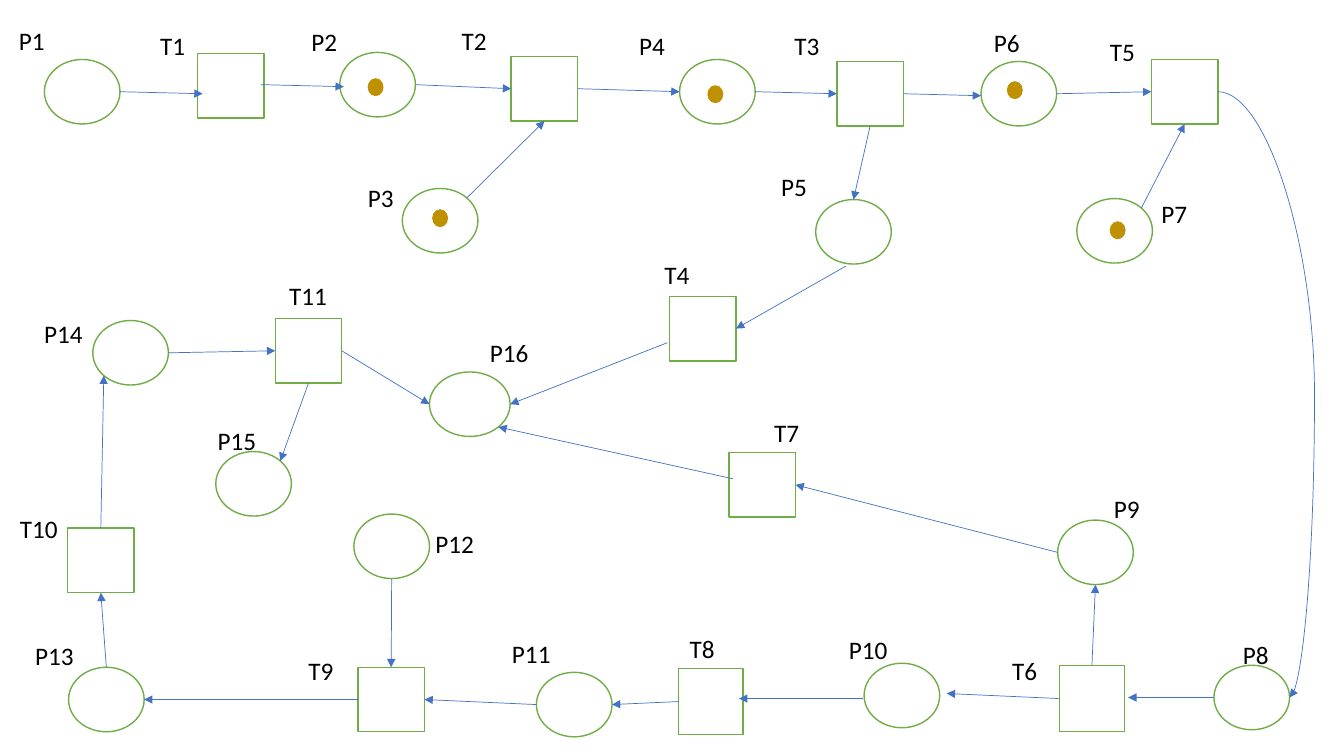
"""Draw a Petri net of sixteen places, eleven transitions and five tokens."""
from math import sqrt

from lxml.etree import SubElement
from pptx import Presentation
from pptx.dml.color import RGBColor as RGB
from pptx.enum.shapes import MSO_CONNECTOR as LINK, MSO_SHAPE as SHAPE
from pptx.oxml.ns import qn
from pptx.util import Cm, Pt

COLORS = {"white": "FFFFFF", "node": "70AD47", "arc": "4472C4", "token": "BF9000", "text": "000000"}
COLORS = {k: RGB.from_string(v) for k, v in COLORS.items()}
FONT = {"name": "Calibri", "size": Pt(18)}
INCH = 2.54
PLACE_W, TRANS_W, NODE_H = 0.75, 0.66, 0.64
LABEL_W, LABEL_H = 0.66, 0.4
TOKEN_W, TOKEN_H = 0.15, 0.17
DIAG = 1 / sqrt(2)

NODES = {
    "P1": (0.44, 0.59), "P2": (3.37, 0.52), "P3": (3.99, 1.87), "P4": (6.74, 0.59),
    "P5": (8.09, 1.98), "P6": (9.73, 0.61), "P7": (10.68, 1.97), "P8": (12.04, 6.6),
    "P9": (10.49, 5.16), "P10": (8.57, 6.58), "P11": (5.32, 6.67), "P12": (3.51, 5.1),
    "P13": (0.68, 6.62), "P14": (0.92, 3.18), "P15": (2.14, 4.48), "P16": (4.26, 3.69),
    "T1": (1.96, 0.53), "T2": (5.07, 0.56), "T3": (8.3, 0.61), "T4": (6.64, 2.94),
    "T5": (11.42, 0.59), "T6": (10.5, 6.61), "T7": (7.23, 4.49), "T8": (6.72, 6.64),
    "T9": (3.55, 6.62), "T10": (0.67, 5.24), "T11": (2.73, 3.16),
}
LABELS = {
    "P1": (0.09, 0.2), "P2": (2.99, 0.21), "P3": (3.55, 1.76), "P4": (6.24, 0.25),
    "P5": (7.65, 1.65), "P6": (9.76, 0.22), "P7": (11.42, 1.92), "P8": (12.23, 6.29),
    "P9": (10.95, 4.84), "P10": (8.32, 6.24), "P11": (4.98, 6.28), "P12": (4.22, 5.19),
    "P13": (0.25, 6.3), "P14": (0.34, 3.11), "P15": (2.06, 4.17), "P16": (4.76, 3.3),
    "T1": (1.49, 0.25), "T2": (4.48, 0.2), "T3": (7.78, 0.25), "T4": (6.49, 2.52),
    "T5": (10.91, 0.31), "T6": (9.94, 6.45), "T7": (7.58, 4.09), "T8": (6.74, 6.23),
    "T9": (2.96, 6.45), "T10": (0.1, 5.04), "T11": (2.77, 2.73),
}
NODE_WIDTHS = {"P16": 0.8}
LABEL_WIDTHS = {"P8": 0.56, "P9": 0.56, "T8": 0.49}
TURNED = ("T6", "T8")
TOKENS = [(3.65, 0.78), (9.99, 0.81), (7.02, 0.85), (4.29, 2.08), (11.01, 2.2)]

SITES = {"P": ["n", "nw", "w", "sw", "s", "se", "e", "ne"], "T": ["n", "w", "s", "e"]}
OFFSETS = {"n": (0, -1), "w": (-1, 0), "s": (0, 1), "e": (1, 0), "nw": (-DIAG, -DIAG),
           "sw": (-DIAG, DIAG), "se": (DIAG, DIAG), "ne": (DIAG, -DIAG)}
ARCS = [
    (("P1", "e"), (2.01, 0.93)), ((2.59, 0.84), (3.41, 0.86)),
    (("P2", "e"), ("T2", "w")), (("P3", "ne"), ("T2", "s")),
    (("T2", "e"), ("P4", "w")), (("P4", "e"), ("T3", "w")),
    (("T3", "e"), (9.73, 0.95)), (("T3", "s"), ("P5", "n")),
    (("P6", "e"), ("T5", "w")), (("P7", "ne"), ("T5", "s")),
    ((8.39, 2.64), ("T4", "e")), ((6.62, 3.4), ("P16", "e")),
    (("P8", "w"), (11.19, 6.92)), ((10.83, 6.6), ("P9", "s")),
    (("P9", "w"), ("T7", "e")), ((7.27, 4.75), ("P16", "se")),
    ((10.5, 6.93), (9.39, 6.88)), ((8.56, 6.93), (7.33, 6.93)),
    ((6.73, 6.96), ("P11", "e")), (("P11", "w"), ("T9", "e")),
    (("P12", "s"), ("T9", "n")), (("P13", "n"), ("T10", "s")),
    (("T10", "n"), ("P14", "sw")), (("P14", "e"), ("T11", "w")),
    (("T11", "s"), ("P15", "ne")), (("T11", "e"), ("P16", "w")),
    (("T5", "e"), ("P8", "e")), (("T9", "w"), ("P13", "e")),
]
CURVES = {("T5", "P8"): 134900, ("T9", "P13"): 50000}

prs = Presentation()
prs.slide_width, prs.slide_height = Cm(13.33 * INCH), Cm(7.5 * INCH)
s = prs.slides.add_slide(prs.slide_layouts[6])


def add_shape(kind, box, fill, line, width):
    """Add a flat filled shape; box is in inches."""
    sp = s.shapes.add_shape(kind, *[Cm(v * INCH) for v in box])
    sp.shadow.inherit = False
    sp.fill.solid()
    sp.fill.fore_color.rgb = COLORS[fill]
    sp.line.color.rgb = COLORS[line]
    sp.line.width = Pt(width)
    return sp


def locate(end):
    """Return the point of an arc end, given as a point or as a node and side."""
    if end[0] not in nodes:
        return [Cm(v * INCH) for v in end]
    sp, (dx, dy) = nodes[end[0]], OFFSETS[end[1]]
    return [int(sp.left + sp.width * (1 + dx) / 2), int(sp.top + sp.height * (1 + dy) / 2)]


nodes = {}
for name, (x, y) in NODES.items():
    kind, w = (SHAPE.OVAL, PLACE_W) if name[0] == "P" else (SHAPE.RECTANGLE, TRANS_W)
    box = x, y, NODE_WIDTHS.get(name, w), NODE_H
    nodes[name] = add_shape(kind, box, "white", "node", 1)
    nodes[name].rotation = 90 if name in TURNED else 0

for start, stop in ARCS:
    bend = CURVES.get((start[0], stop[0]))
    kind = LINK.CURVE if bend else LINK.STRAIGHT
    c = s.shapes.add_connector(kind, *locate(start), *locate(stop))
    c.line.color.rgb = COLORS["arc"]
    c.line.width = Pt(0.5)
    spPr = c.element.spPr
    SubElement(spPr.find(qn("a:ln")), qn("a:tailEnd"), type="triangle")
    SubElement(spPr, qn("a:effectLst"))
    if bend:
        guides = spPr.find(qn("a:prstGeom")).find(qn("a:avLst"))
        SubElement(guides, qn("a:gd"), name="adj1", fmla=f"val {bend}")
    joints = c.element.nvCxnSpPr.cNvCxnSpPr
    for tag, end in (("a:stCxn", start), ("a:endCxn", stop)):
        if end[0] in nodes:
            site = SITES[end[0][0]].index(end[1])
            SubElement(joints, qn(tag), id=str(nodes[end[0]].shape_id), idx=str(site))

for x, y in TOKENS:
    add_shape(SHAPE.OVAL, (x, y, TOKEN_W, TOKEN_H), "token", "token", 0.5)

for name, (x, y) in LABELS.items():
    box = x, y, LABEL_WIDTHS.get(name, LABEL_W), LABEL_H
    tf = s.shapes.add_textbox(*[Cm(v * INCH) for v in box]).text_frame
    tf.word_wrap = True
    r = tf.paragraphs[0].add_run()
    r.text = name
    for key, value in FONT.items():
        setattr(r.font, key, value)
    r.font.color.rgb = COLORS["text"]

prs.save("out.pptx")
